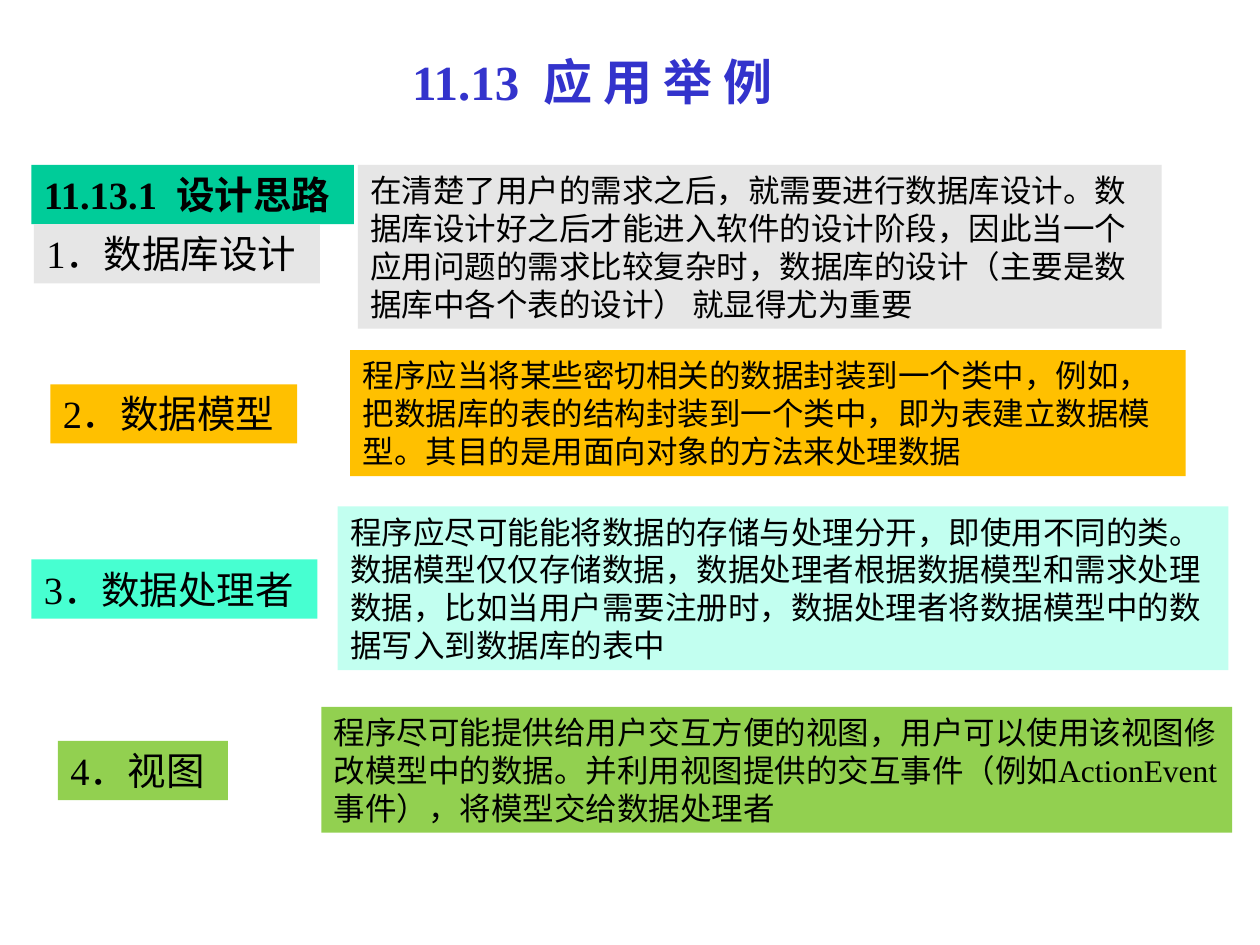
from pptx import Presentation
from pptx.dml.color import RGBColor
from pptx.enum import shapes, text
from pptx.util import Inches, Pt

FONT = "Times New Roman"
HEX = {
    "title": "3333CC", "ink": "000000", "green": "00CC99", "grey": "E6E6E6",
    "gold": "FFC000", "aqua": "47FFD1", "mint": "C2FFF0", "lime": "92D050",
}
LABEL_H = 0.47

# Each row: label text, fill, box; then body text, fill, box
ROWS = [
    ("1．数据库设计", "grey", (0.27, 1.78, 2.27, LABEL_H),
     "在清楚了用户的需求之后，就需要进行数据库设计。数据库设计好之后才能进入软件的设计阶段，"
     "因此当一个应用问题的需求比较复杂时，数据库的设计（主要是数据库中各个表的设计） 就显得尤为重要",
     "grey", (2.84, 1.31, 6.38, 1.3)),
    ("2．数据模型", "gold", (0.4, 3.05, 1.96, LABEL_H),
     "程序应当将某些密切相关的数据封装到一个类中，例如，把数据库的表的结构封装到一个类中，"
     "即为表建立数据模型。其目的是用面向对象的方法来处理数据",
     "gold", (2.78, 2.78, 6.63, 1)),
    ("3．数据处理者", "aqua", (0.25, 4.44, 2.27, LABEL_H),
     "程序应尽可能能将数据的存储与处理分开，即使用不同的类。数据模型仅仅存储数据，"
     "数据处理者根据数据模型和需求处理数据，比如当用户需要注册时，数据处理者将数据模型中的数据写入到数据库的表中",
     "mint", (2.68, 4.02, 7.07, 1.3)),
    ("4．视图", "lime", (0.46, 5.88, 1.35, LABEL_H),
     "程序尽可能提供给用户交互方便的视图，用户可以使用该视图修改模型中的数据。"
     "并利用视图提供的交互事件（例如ActionEvent事件），将模型交给数据处理者",
     "lime", (2.55, 5.61, 7.23, 1)),
]


def color(name):
    return RGBColor.from_string(HEX[name])


def write(shape, words, size, ink="ink", bold=False, wrap=False):
    frame = shape.text_frame
    frame.text = words
    frame.word_wrap = wrap
    frame.auto_size = text.MSO_AUTO_SIZE.SHAPE_TO_FIT_TEXT
    frame.vertical_anchor = text.MSO_ANCHOR.TOP
    para = frame.paragraphs[0]
    para.alignment = text.PP_ALIGN.LEFT
    font = para.runs[0].font
    font.name, font.size, font.bold = FONT, Pt(size), bold
    font.color.rgb = color(ink)


def add_title(slide, box, words):
    title = slide.shapes.title
    title.left, title.top, title.width, title.height = map(Inches, box)
    write(title, words, 28, "title", bold=True)


def add_panel(slide, box, words, fill, size, **style):
    panel = slide.shapes.add_shape(shapes.MSO_SHAPE.RECTANGLE, *map(Inches, box))
    panel.shadow.inherit = False
    panel.fill.solid()
    panel.fill.fore_color.rgb = color(fill)
    panel.line.fill.background()
    write(panel, words, size, **style)


def add_row(slide, label, tint, tag, body, fill, box):
    """Place a numbered label and the explanation beside it."""
    add_panel(slide, tag, label, tint, 22)
    add_panel(slide, box, body, fill, 18, wrap=True)


def main():
    deck = Presentation()
    deck.slide_width, deck.slide_height = Inches(10), Inches(7.5)
    slide = deck.slides.add_slide(deck.slide_layouts[5])
    add_title(slide, (3.17, 0.36, 3.18, 0.57), "11.13  应 用 举 例")
    add_panel(slide, (0.25, 1.31, 2.56, LABEL_H), "11.13.1  设计思路",
              "green", 22, bold=True)
    for row in ROWS:
        add_row(slide, *row)
    deck.save("out.pptx")


if __name__ == "__main__":
    main()
